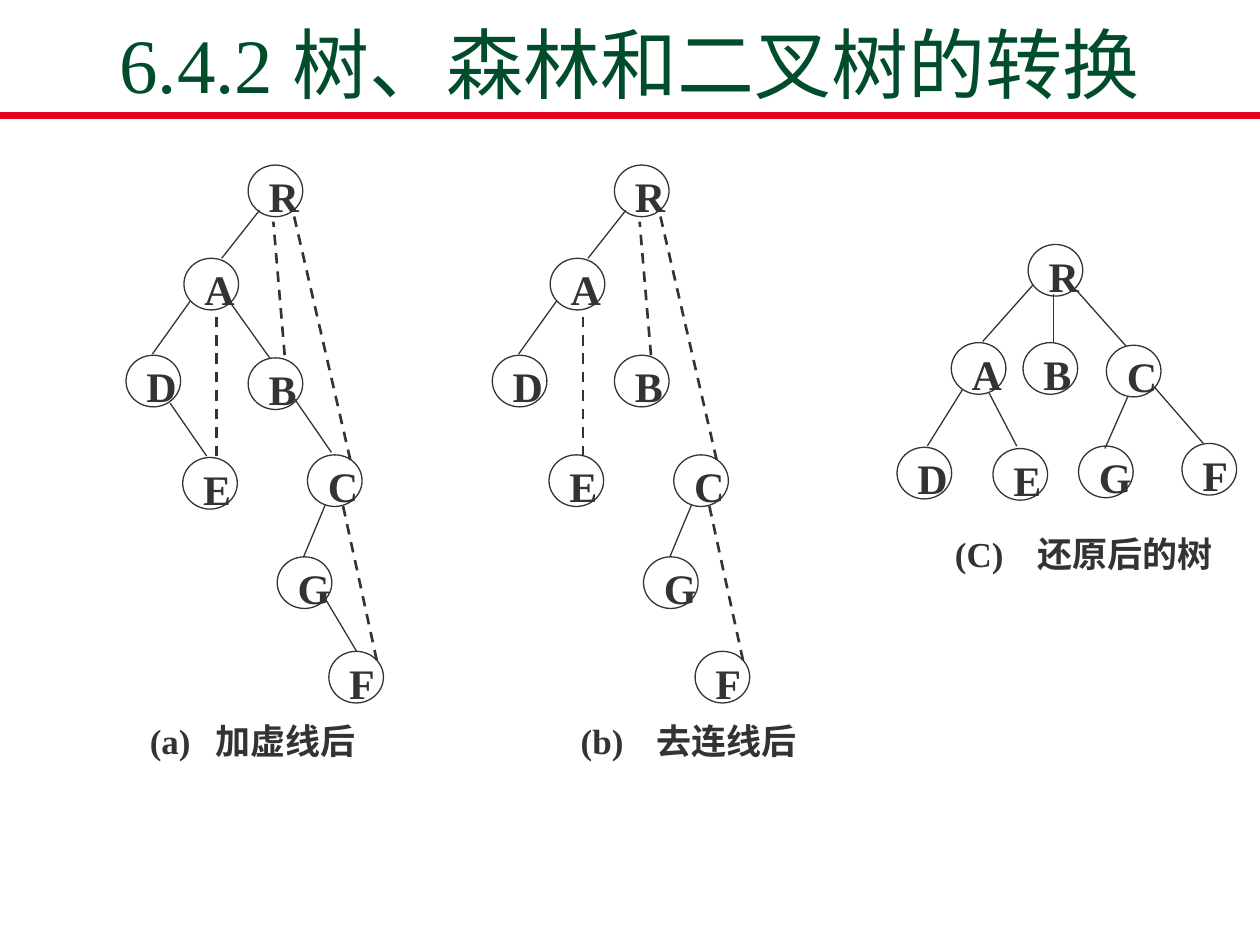
from lxml.etree import SubElement
from pptx import Presentation
from pptx.dml.color import RGBColor
from pptx.enum.dml import MSO_LINE
from pptx.enum.shapes import MSO_CONNECTOR, MSO_SHAPE
from pptx.enum.text import MSO_ANCHOR, PP_ALIGN
from pptx.oxml.ns import qn
from pptx.util import Pt

COLORS = {"title": "004C2B", "rule": "E60223", "ink": "333333"}
FONT = "Times New Roman"
TITLE_FONT = {"name": FONT, "size": Pt(44), "bold": False}
NODE_FONT = {"name": FONT, "size": Pt(24), "bold": True}
CAPTION_FONT = {"name": FONT, "size": Pt(20), "bold": True}
NODE_SIZE = (31.2, 29.5)
FOREST_SHIFT = 209.3  # distance from tree (a) to forest (b)

# Tree (a): node corners, kept edges, removed edges and dashed links
BINARY_NODES = {
    "R": (141.8, 94.3), "A": (105.1, 147.6), "D": (72, 203), "B": (141.8, 204.5),
    "E": (104.4, 261.4), "C": (175.7, 259.9), "G": (158.4, 318.2), "F": (187.9, 372.2),
}
KEPT_EDGES = [
    (148.3, 120.2, 126.7, 147.6), (108.7, 172.1, 87.1, 202.3), (185.8, 288.7, 173.5, 318.2),
]
REMOVED_EDGES = [
    (132.5, 174.2, 154.1, 204.5), (97.2, 230.4, 118.1, 260.6),
    (168.5, 228.2, 189.4, 258.5), (185.8, 342, 203.8, 372.2),
]
PARENT_LINKS = [
    (162.7, 203, 156.2, 126.7), (200.2, 262.8, 167.8, 122.4),
    (123.8, 260.6, 123.8, 177.1), (215.3, 377.3, 195.8, 288),
]

# Tree (C): the restored tree
RESTORED_NODES = {
    "R": (587.5, 139.7), "A": (543.6, 195.8), "B": (584.6, 195.8), "C": (632.2, 197.3),
    "D": (512.6, 255.6), "E": (567.4, 256.3), "G": (616.3, 254.9), "F": (675.4, 253.4),
}
RESTORED_EDGES = [
    (590.4, 162.7, 561.6, 195.1), (601.9, 167.8, 601.9, 195.8), (614.9, 165.6, 643.7, 198),
    (550.1, 222.5, 529.9, 254.9), (565.2, 224.6, 581, 254.9),
    (644.4, 226.8, 631.4, 256.3), (659.5, 221, 687.6, 253.4),
]


def apply_format(target, values):
    for attribute, value in values.items():
        setattr(target, attribute, value)


def write_text(shape, text, font, color, frame, paragraph_format, tab=None):
    apply_format(shape.text_frame, frame)
    paragraph = shape.text_frame.paragraphs[0]
    paragraph.text = text
    apply_format(paragraph, paragraph_format)
    if tab:
        tabs = SubElement(paragraph._p.get_or_add_pPr(), qn("a:tabLst"))
        SubElement(tabs, qn("a:tab"), pos=str(Pt(tab)), algn="l")
    for run in paragraph.runs:
        apply_format(run.font, font)
        run.font.color.rgb = RGBColor.from_string(COLORS[color])


def add_line(shapes, ends, color="ink", width=0.75, dash=None):
    line = shapes.add_connector(MSO_CONNECTOR.STRAIGHT, *map(Pt, ends))
    line.line.color.rgb = RGBColor.from_string(COLORS[color])
    apply_format(line.line, {"width": Pt(width), "dash_style": dash})
    SubElement(line._element.spPr, qn("a:effectLst"))


def add_node(shapes, letter, corner):
    node = shapes.add_shape(MSO_SHAPE.OVAL, *map(Pt, corner + NODE_SIZE))
    node.shadow.inherit = False
    node.fill.background()
    node.line.color.rgb = RGBColor.from_string(COLORS["ink"])
    node.line.width = Pt(0.75)
    write_text(node, letter, NODE_FONT, "ink",
               {"word_wrap": False, "vertical_anchor": MSO_ANCHOR.MIDDLE},
               {"alignment": PP_ALIGN.LEFT, "line_spacing": 1.2})


def add_caption(shapes, text, box, tab):
    caption = shapes.add_textbox(*map(Pt, box))
    write_text(caption, text, CAPTION_FONT, "ink",
               {"word_wrap": False, "vertical_anchor": MSO_ANCHOR.MIDDLE},
               {"alignment": PP_ALIGN.LEFT, "line_spacing": 1.2}, tab)


def add_tree(slide, nodes, edges, links, caption):
    shapes = slide.shapes.add_group_shape().shapes
    add_caption(shapes, *caption)
    for letter, corner in nodes.items():
        add_node(shapes, letter, corner)
    for ends in edges:
        add_line(shapes, ends)
    for ends in links:
        add_line(shapes, ends, width=1.5, dash=MSO_LINE.DASH)


def shift_lines(lines):
    return [(x1 + FOREST_SHIFT, y1, x2 + FOREST_SHIFT, y2) for x1, y1, x2, y2 in lines]


def add_title(slide, text):
    title = slide.shapes.add_textbox(Pt(54), Pt(18.7), Pt(612), Pt(46.8))
    write_text(title, text, TITLE_FONT, "title",
               {"word_wrap": True, "vertical_anchor": MSO_ANCHOR.BOTTOM},
               {"alignment": PP_ALIGN.CENTER})


def main():
    presentation = Presentation()
    apply_format(presentation, {"slide_width": Pt(720), "slide_height": Pt(540)})
    slide = presentation.slides.add_slide(presentation.slide_layouts[6])

    # Heading and its rule
    add_line(slide.shapes, (0, 66, 720, 66), "rule", 4.5)
    add_title(slide, "6.4.2 树、森林和二叉树的转换")

    # (C) restored tree
    add_tree(slide, RESTORED_NODES, RESTORED_EDGES, [],
             ("(C)\t还原后的树", (538.6, 298.8, 168.5, 30.2), 47))

    # (a) binary tree with dashed links added
    add_tree(slide, BINARY_NODES, KEPT_EDGES + REMOVED_EDGES, PARENT_LINKS,
             ("(a)\t加虚线后", (78.5, 406.8, 136.1, 27.4), 37.5))

    # (b) same layout without the removed edges; B and E sit level with D and C
    levelled = BINARY_NODES | {"B": (141.8, 203), "E": (104.4, 259.9)}
    forest = {letter: (x + FOREST_SHIFT, y) for letter, (x, y) in levelled.items()}
    add_tree(slide, forest, shift_lines(KEPT_EDGES), shift_lines(PARENT_LINKS),
             ("(b)\t去连线后", (324.7, 406.8, 151.9, 27.4), 43.5))

    presentation.save("out.pptx")


if __name__ == "__main__":
    main()
